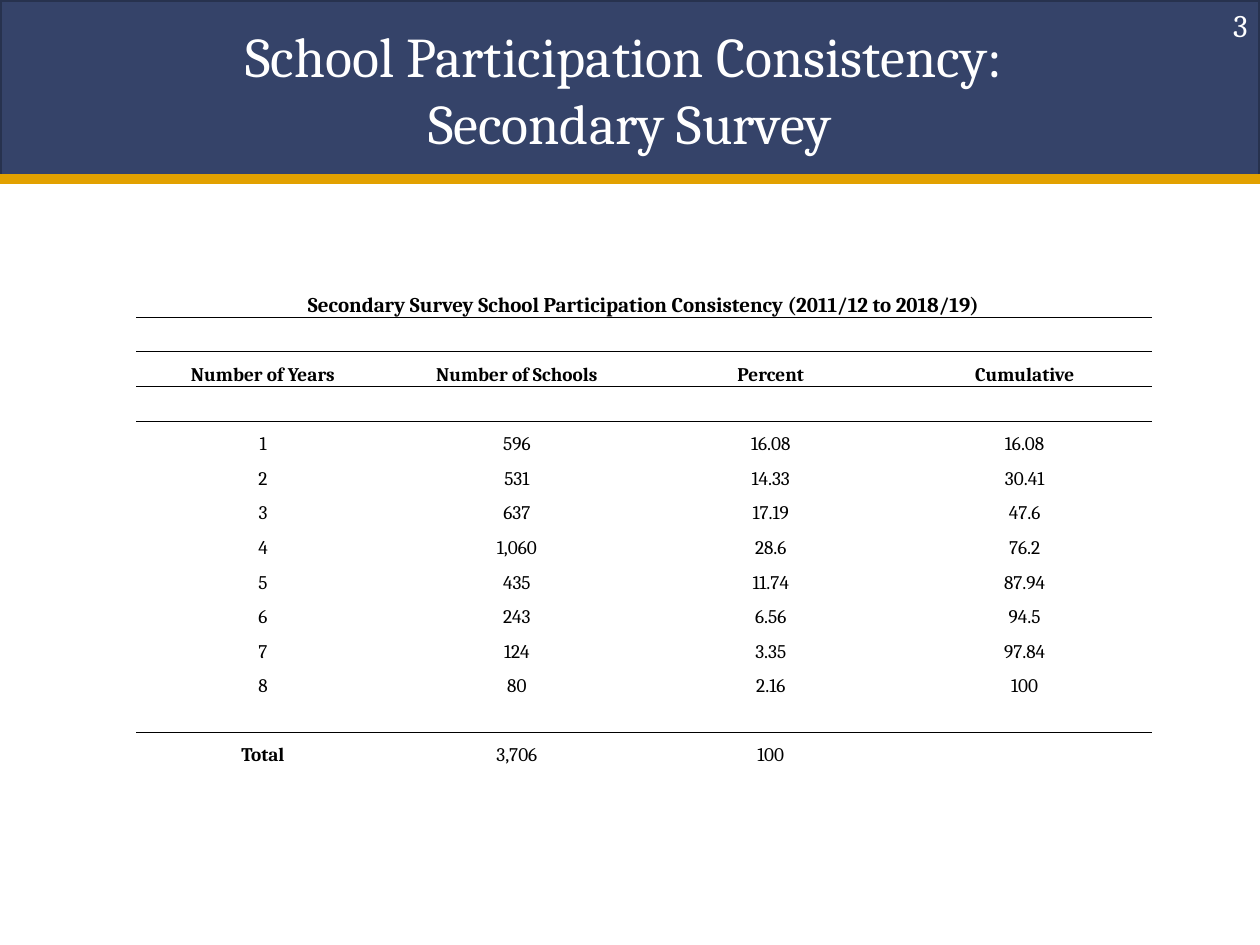
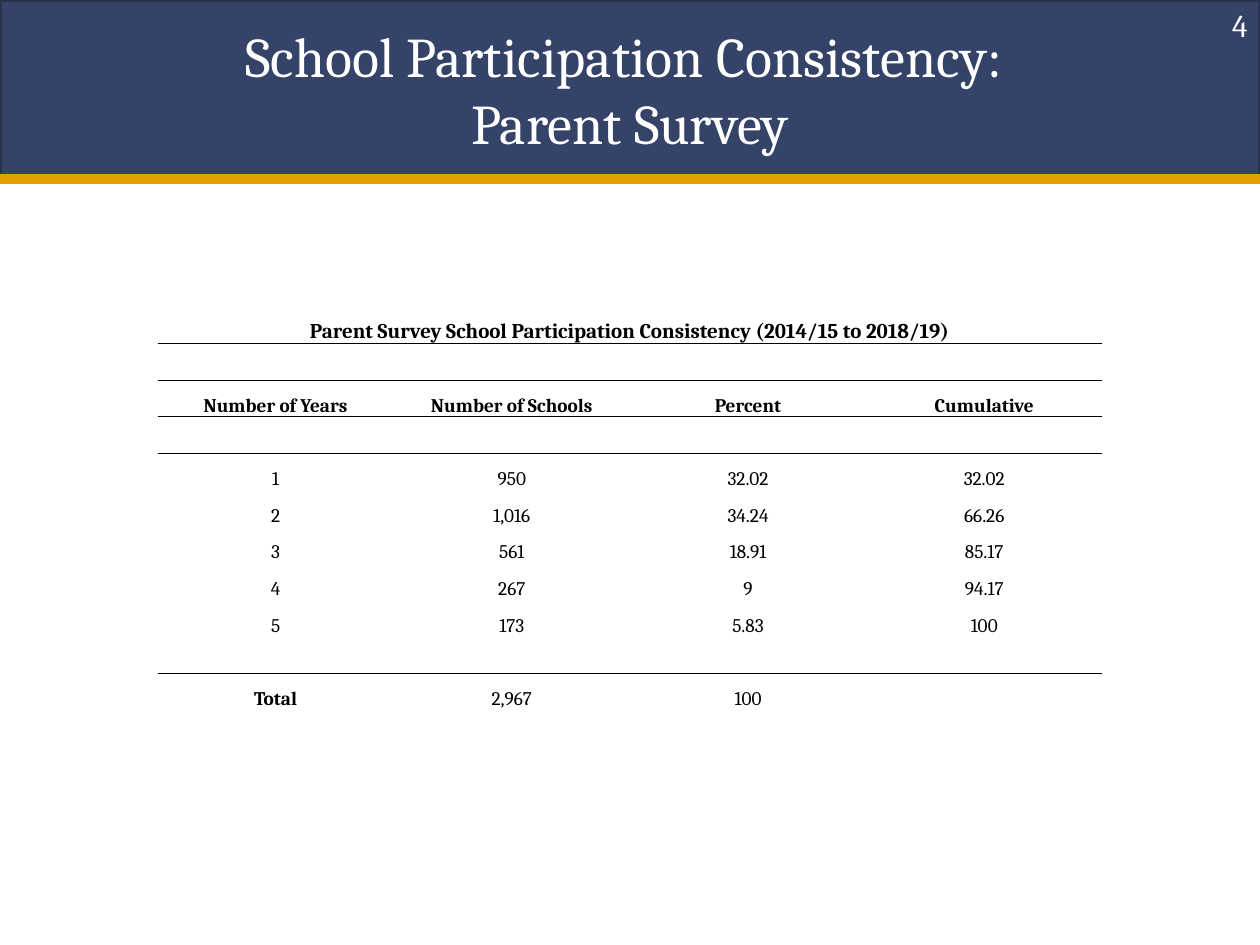
from lxml import etree
from pptx import Presentation
from pptx import util as u
from pptx.dml.color import RGBColor
from pptx.enum import shapes, text
from pptx.oxml import ns

COLORS = {
    "band": "354369",
    "band_edge": "27324E",
    "gold": "E2A100",
    "white": "FFFFFF",
    "black": "000000",
}
FONT = "Cambria"
GRID_COLUMNS, GRID_ROWS = 10, 7.5
SLIDE_WIDTH, SLIDE_HEIGHT = u.Inches(10), u.Inches(7.5)
BAND_ROWS = 1.42
TITLE_ONLY = 5
FIRST_NUMBER = 3
PLAIN_TABLE_STYLE = "{2D5ABB26-0587-4C30-8999-92F81FD0307C}"
HEADINGS = ["Number of Years", "Number of Schools", "Percent", "Cumulative"]

SURVEYS = [
    {
        "name": "Secondary",
        "years": "2011/12 to 2018/19",
        "area": (1.08, 2.23, 8.06, 3.86),
        "counts": [
            ("596", "16.08", "16.08"),
            ("531", "14.33", "30.41"),
            ("637", "17.19", "47.6"),
            ("1,060", "28.6", "76.2"),
            ("435", "11.74", "87.94"),
            ("243", "6.56", "94.5"),
            ("124", "3.35", "97.84"),
            ("80", "2.16", "100"),
        ],
        "total": "3,706",
    },
    {
        "name": "Parent",
        "years": "2014/15 to 2018/19",
        "area": (1.25, 2.42, 7.5, 3.22),
        "counts": [
            ("950", "32.02", "32.02"),
            ("1,016", "34.24", "66.26"),
            ("561", "18.91", "85.17"),
            ("267", "9", "94.17"),
            ("173", "5.83", "100"),
        ],
        "total": "2,967",
    },
]


def across(columns):
    return u.Emu(round(SLIDE_WIDTH * columns / GRID_COLUMNS))


def down(rows):
    return u.Emu(round(SLIDE_HEIGHT * rows / GRID_ROWS))


def place(left, top, width, height):
    return across(left), down(top), across(width), down(height)


def rgb(name):
    return RGBColor.from_string(COLORS[name])


def format_paragraph(paragraph, size, color, alignment, bold=False):
    paragraph.alignment = alignment
    paragraph.font.name = FONT
    paragraph.font.size = u.Pt(size)
    paragraph.font.bold = bold
    paragraph.font.color.rgb = rgb(color)


def add_band(slide, layout):
    band = slide.shapes.add_shape(
        shapes.MSO_SHAPE.RECTANGLE, *place(0, 0, GRID_COLUMNS, BAND_ROWS))
    band.shadow.inherit = False
    band.fill.solid()
    band.fill.fore_color.rgb = rgb("band")
    band.line.color.rgb = rgb("band_edge")
    band.line.width = u.Pt(2)

    rule = slide.shapes.add_connector(
        shapes.MSO_CONNECTOR.STRAIGHT,
        across(-0.02), down(BAND_ROWS), across(10.03), down(BAND_ROWS))
    rule.line.color.rgb = rgb("gold")
    rule.line.width = u.Pt(6)
    etree.SubElement(rule.element.spPr, ns.qn("a:effectLst"))

    for position, shape in enumerate((band, rule)):
        shape.element.xpath(".//p:cNvPr")[0].set("id", str(100 + position))
        layout.shapes.element.insert(2 + position, shape.element)


def set_title(slide, wording):
    title = slide.shapes.title
    title.left, title.top, title.width, title.height = place(0.5, 0.08, 9, 1.25)
    frame = title.text_frame
    frame.text = wording
    frame.word_wrap = True
    frame.auto_size = text.MSO_AUTO_SIZE.NONE
    frame.vertical_anchor = text.MSO_ANCHOR.MIDDLE
    format_paragraph(frame.paragraphs[0], 32, "white", text.PP_ALIGN.CENTER)


def add_slide_number(slide, number):
    box = slide.shapes.add_textbox(*place(7.67, 0, 2.33, 0.4))
    frame = box.text_frame
    frame.word_wrap = True
    frame.vertical_anchor = text.MSO_ANCHOR.MIDDLE
    frame.text = str(number)
    format_paragraph(frame.paragraphs[0], 18, "white", text.PP_ALIGN.RIGHT)


def add_border(cell, side):
    border = etree.Element(ns.qn(f"a:{side}"), w=str(u.Pt(0.5)))
    fill = etree.SubElement(border, ns.qn("a:solidFill"))
    etree.SubElement(fill, ns.qn("a:srgbClr"), val=COLORS["black"])
    cell._tc.get_or_add_tcPr().insert(0, border)


def fill_cell(cell, wording, size, bold):
    cell.fill.background()
    cell.vertical_anchor = text.MSO_ANCHOR.BOTTOM
    cell.margin_left = cell.margin_right = cell.margin_top = u.Inches(0.01)
    cell.margin_bottom = 0
    cell.text = wording
    paragraph = cell.text_frame.paragraphs[0]
    format_paragraph(paragraph, size, "black", text.PP_ALIGN.CENTER, bold)
    if not wording:
        paragraph._p.get_or_add_endParaRPr().set("sz", str(size * 100))


def table_rows(survey):
    blank = [""] * len(HEADINGS)
    caption = f"{survey['name']} Survey School Participation Consistency ({survey['years']})"
    counts = [[str(year), *values] for year, values in enumerate(survey["counts"], 1)]
    return [[caption, "", "", ""], blank, HEADINGS, blank, *counts, blank,
            ["Total", survey["total"], "100", ""]]


def add_survey_table(slide, survey):
    rows = table_rows(survey)
    left, top, width, height = place(*survey["area"])
    frame = slide.shapes.add_table(len(rows), len(HEADINGS), left, top, width, height)
    table = frame.table
    table.first_row = table.horz_banding = False
    frame.element.xpath(".//a:tableStyleId")[0].text = PLAIN_TABLE_STYLE

    for column in table.columns:
        column.width = width // len(HEADINGS)
    row_height = round(height / (len(rows) + 0.05))
    for row in table.rows:
        row.height = row_height
    table.rows[0].height = height - row_height * (len(rows) - 1)

    ruled_rows = {0, 2, len(rows) - 2}
    for row_index, wordings in enumerate(rows):
        for column_index, wording in enumerate(wordings):
            cell = table.cell(row_index, column_index)
            bold = row_index in (0, 2) or wording == "Total"
            fill_cell(cell, wording, 12 if row_index == 0 else 11, bold)
            if row_index in ruled_rows:
                add_border(cell, "lnB")
            if row_index - 1 in ruled_rows:
                add_border(cell, "lnT")
    table.cell(0, 0).merge(table.cell(0, len(HEADINGS) - 1))


def main():
    presentation = Presentation()
    presentation.slide_width, presentation.slide_height = SLIDE_WIDTH, SLIDE_HEIGHT
    layout = presentation.slide_layouts[TITLE_ONLY]
    for number, survey in enumerate(SURVEYS, FIRST_NUMBER):
        slide = presentation.slides.add_slide(layout)
        if number == FIRST_NUMBER:
            add_band(slide, layout)
        set_title(slide, f"School Participation Consistency: \v{survey['name']} Survey")
        add_survey_table(slide, survey)
        add_slide_number(slide, number)
    presentation.save("out.pptx")


main()
